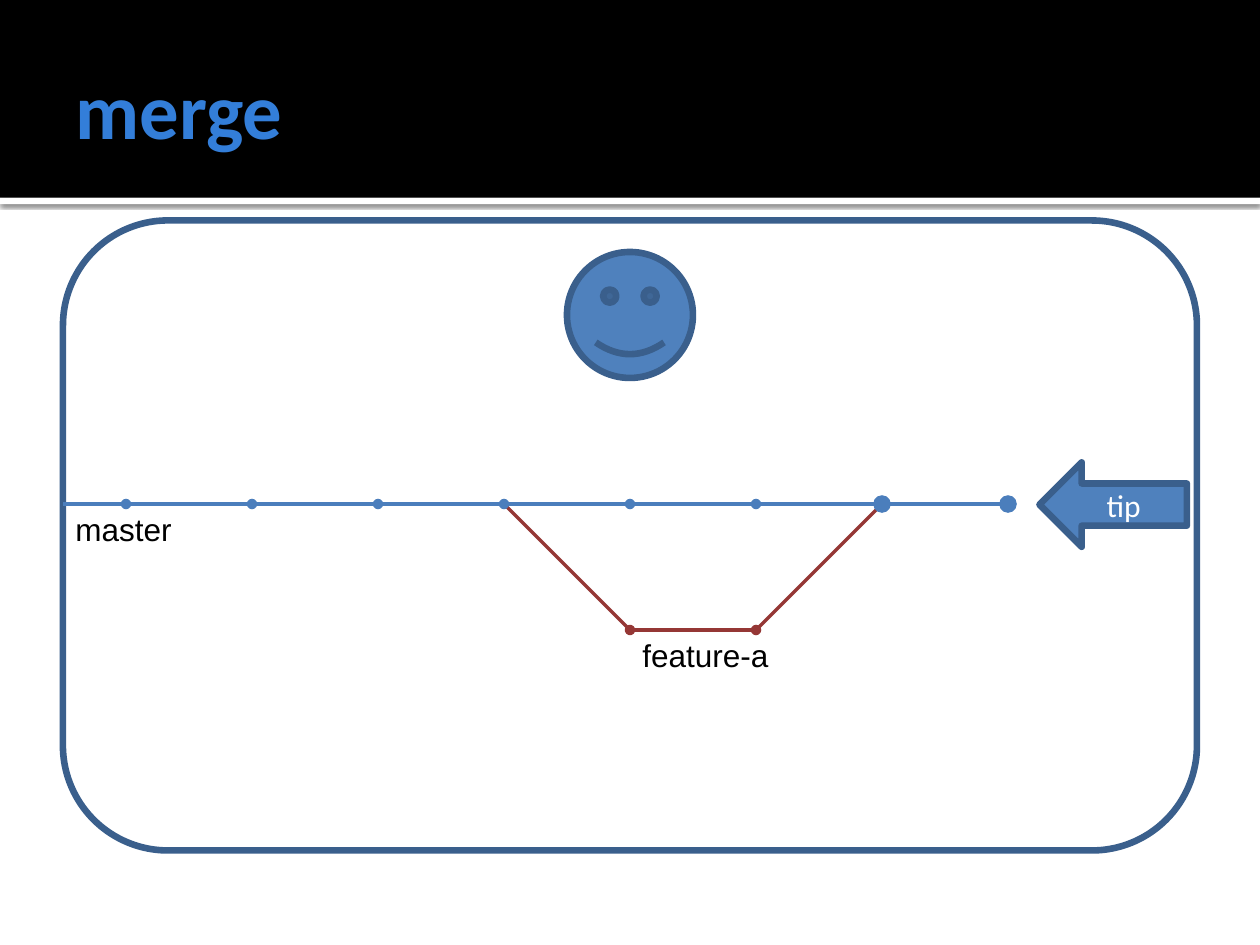
"""Build the slide that shows a feature branch merged back into master."""
from lxml import etree
from pptx import Presentation
from pptx import util as u
from pptx.dml.color import RGBColor
from pptx.enum import shapes, text
from pptx.oxml import ns

COLORS = {
    "band": "000000", "rule": "FFFFFF", "title": "337ED9", "label": "000000",
    "fill": "4F81BD", "outline": "3A5F8C", "master": "4B7EBC",
    "feature": "953735", "tip": "FFFFFF",
}
TITLE = {"size": u.Pt(45), "name": "Calibri", "bold": True}
LABEL = {"size": u.Pt(18), "name": "Arial"}
TIP = {"size": u.Pt(18), "name": "Calibri"}
MASTER_Y, FEATURE_Y = 4, 5


def color(key):
    return RGBColor.from_string(COLORS[key])


def add_xml(parent, tag, **values):
    return etree.SubElement(parent, ns.qn(tag), values)


def write(shape, words, ink, font, align=text.PP_ALIGN.LEFT):
    paragraph = shape.text_frame.paragraphs[0]
    paragraph.alignment = align
    run = paragraph.add_run()
    run.text = words
    for name, value in font.items():
        setattr(run.font, name, value)
    run.font.color.rgb = color(ink)


def add_label(slide, box, words, ink, font, frame):
    label = slide.shapes.add_textbox(*map(u.Inches, box))
    for name, value in frame.items():
        setattr(label.text_frame, name, value)
    write(label, words, ink, font)


def add_figure(slide, preset, box, fill=None, outline=None):
    figure = slide.shapes.add_shape(preset, *map(u.Inches, box))
    figure.shadow.inherit = False
    if fill:
        figure.fill.solid()
        figure.fill.fore_color.rgb = color(fill)
    else:
        figure.fill.background()
    if outline:
        figure.line.color.rgb = color(outline)
        figure.line.width = u.Pt(3.78)
    else:
        figure.line.fill.background()
    return figure


def add_header(slide):
    rectangle = shapes.MSO_SHAPE.RECTANGLE
    rule = add_figure(slide, rectangle, (0, 1.57, 10, 0.05), "rule")
    effects = rule.element.spPr.find(ns.qn("a:effectLst"))
    shadow = add_xml(effects, "a:outerShdw", blurRad=str(u.Pt(2.5)), dist=str(u.Pt(0.8)),
                     dir="5400000", algn="t", rotWithShape="0")
    shade = add_xml(shadow, "a:srgbClr", val=COLORS["band"])
    add_xml(shade, "a:alpha", val="60000")
    add_figure(slide, rectangle, (0, 0, 10, 1.57), "band")
    add_label(slide, (0.5, 0.17, 9, 1.37), "merge", "title", TITLE, {
        "word_wrap": True, "vertical_anchor": text.MSO_ANCHOR.MIDDLE,
        "margin_right": u.Inches(0.05),
    })


def add_commit(slide, start, end, branch, dot="med"):
    step = slide.shapes.add_connector(
        shapes.MSO_CONNECTOR.STRAIGHT, *map(u.Inches, (*start, *end)))
    step.line.color.rgb = color(branch)
    step.line.width = u.Pt(2)
    add_xml(step.line._get_or_add_ln(), "a:tailEnd", type="oval", w=dot, len=dot)
    add_xml(step.element.spPr, "a:effectLst")


def add_history(slide):
    feature = [(4, MASTER_Y), (5, FEATURE_Y), (6, FEATURE_Y), (7, MASTER_Y)]
    for start, end in zip(feature, feature[1:]):
        add_commit(slide, start, end, "feature")
    master = [0.5, *range(1, 9)]
    for start, end in zip(master, master[1:]):
        add_commit(slide, (start, MASTER_Y), (end, MASTER_Y), "master",
                   "lg" if end >= 7 else "med")
    frame = {"word_wrap": True, "auto_size": text.MSO_AUTO_SIZE.SHAPE_TO_FIT_TEXT}
    add_label(slide, (0.5, MASTER_Y, 1.17, 0.4), "master", "label", LABEL, frame)
    add_label(slide, (5, FEATURE_Y, 1.33, 0.4), "feature-a", "label", LABEL, frame)


def add_tip(slide):
    tip = add_figure(slide, shapes.MSO_SHAPE.LEFT_ARROW, (8.25, 3.67, 1.17, 0.67),
                     "fill", "outline")
    tip.text_frame.vertical_anchor = text.MSO_ANCHOR.MIDDLE
    write(tip, "tip", "tip", TIP, text.PP_ALIGN.CENTER)


def main():
    deck = Presentation()
    deck.slide_width, deck.slide_height = u.Inches(10), u.Inches(7.5)
    slide = deck.slides.add_slide(deck.slide_layouts[6])
    add_header(slide)
    add_figure(slide, shapes.MSO_SHAPE.SMILEY_FACE, (4.5, 2, 1, 1), "fill", "outline")
    add_figure(slide, shapes.MSO_SHAPE.ROUNDED_RECTANGLE, (0.5, 1.75, 9, 5),
               outline="outline")
    add_history(slide)
    add_tip(slide)
    deck.save("out.pptx")


if __name__ == "__main__":
    main()
